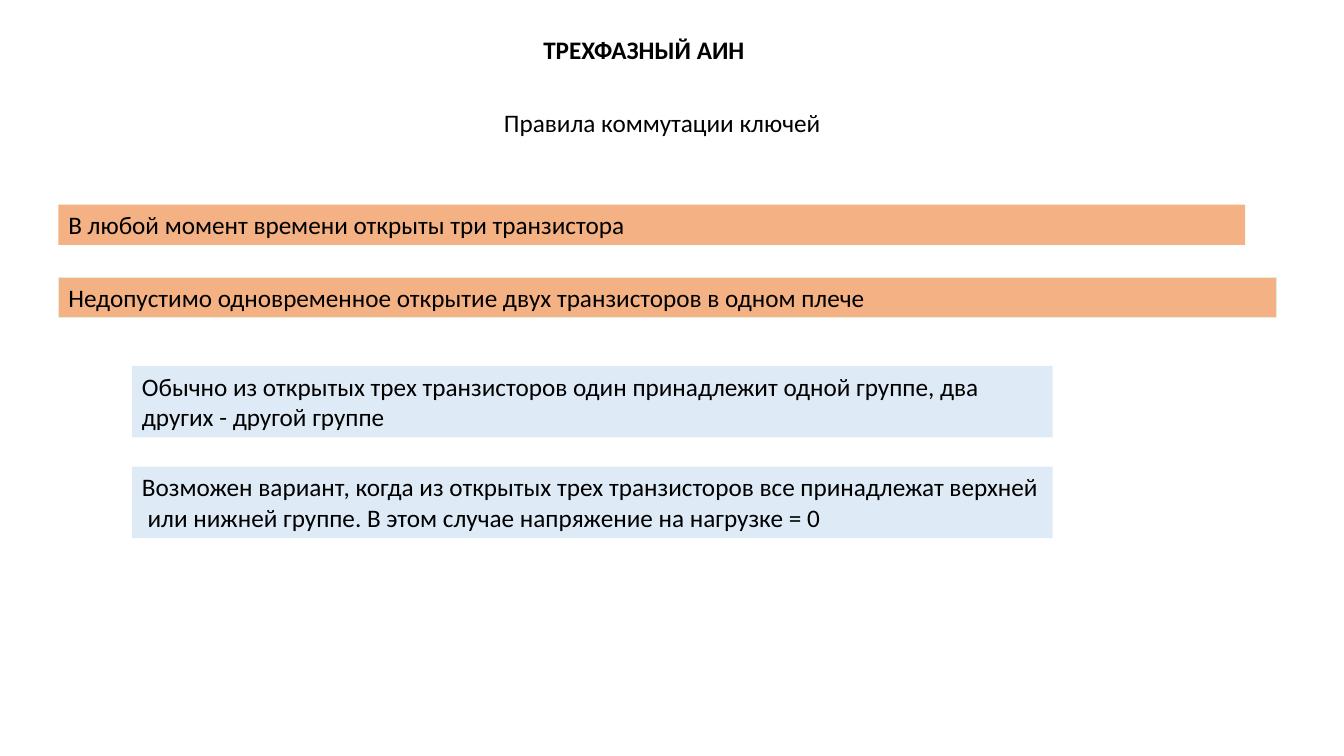
"""Build the slide on switching rules of a three-phase inverter."""
from pptx import Presentation
from pptx.dml.color import RGBColor
from pptx.enum.shapes import MSO_SHAPE as Shape
from pptx.enum.text import MSO_ANCHOR as Anchor, MSO_AUTO_SIZE as AutoSize, PP_ALIGN as Align
from pptx.util import Inches, Pt

ORANGE, BLUE, PALE_GREEN, BLACK = "F4B183", "DEEBF7", "E2F0D9", "000000"
LINE_HEIGHT, TWO_LINES = 0.4, 0.71

RULES = [
    ("В любой момент времени открыты три транзистора", 11.77, None),
    ("Недопустимо одновременное открытие двух транзисторов в одном плече", 12.08, PALE_GREEN),
]
CASES = [
    "Обычно из открытых трех транзисторов один принадлежит одной группе, "
    "два других - другой группе",
    "Возможен вариант, когда из открытых трех транзисторов все принадлежат верхней "
    " или нижней группе. В этом случае напряжение на нагрузке = 0",
]


def color(value):
    """Turn a hex string into a colour."""
    return RGBColor.from_string(value)


def write(shape, text, bold=False, wrap=True, before=0):
    """Put formatted text into a shape."""
    frame = shape.text_frame
    frame.word_wrap = wrap
    frame.auto_size = AutoSize.SHAPE_TO_FIT_TEXT
    frame.vertical_anchor = Anchor.TOP
    para = frame.paragraphs[0]
    para.alignment = Align.LEFT
    para.space_before = Pt(before)
    span = para.add_run()
    span.text = text
    span.font.name = "Calibri"
    span.font.size = Pt(18)
    span.font.bold = bold
    span.font.color.rgb = color(BLACK)


def add_heading(page, box, text, **style):
    """Add a line of heading text in the given box."""
    write(page.shapes.add_textbox(*map(Inches, box)), text, **style)


def add_bar(page, box, text, fill, outline=None):
    """Add a filled bar with text in the given box."""
    bar = page.shapes.add_shape(Shape.RECTANGLE, *map(Inches, box))
    bar.shadow.inherit = False
    bar.fill.solid()
    bar.fill.fore_color.rgb = color(fill)
    if outline:
        bar.line.color.rgb = color(outline)
        bar.line.width = Pt(0.75)
    else:
        bar.line.fill.background()
    write(bar, text, before=6)


def add_rules(page, left, top, step):
    """Stack the mandatory rules from the given corner."""
    for row, (text, width, outline) in enumerate(RULES):
        add_bar(page, (left, top + row * step, width, LINE_HEIGHT), text, ORANGE, outline)


def add_cases(page, left, top, width, step):
    """Stack the typical cases from the given corner."""
    for row, text in enumerate(CASES):
        add_bar(page, (left, top + row * step, width, TWO_LINES), text, BLUE)


deck = Presentation()
deck.slide_width, deck.slide_height = Inches(13.33), Inches(7.5)
page = deck.slides.add_slide(deck.slide_layouts[6])
add_heading(page, (5.29, 0.29, 2.67, LINE_HEIGHT), "ТРЕХФАЗНЫЙ АИН", bold=True)
add_heading(page, (4.9, 1.02, 3.49, LINE_HEIGHT), "Правила коммутации ключей", wrap=False)
add_rules(page, left=0.58, top=2.03, step=0.72)
add_cases(page, left=1.31, top=3.63, width=9.13, step=1)
deck.save("out.pptx")
